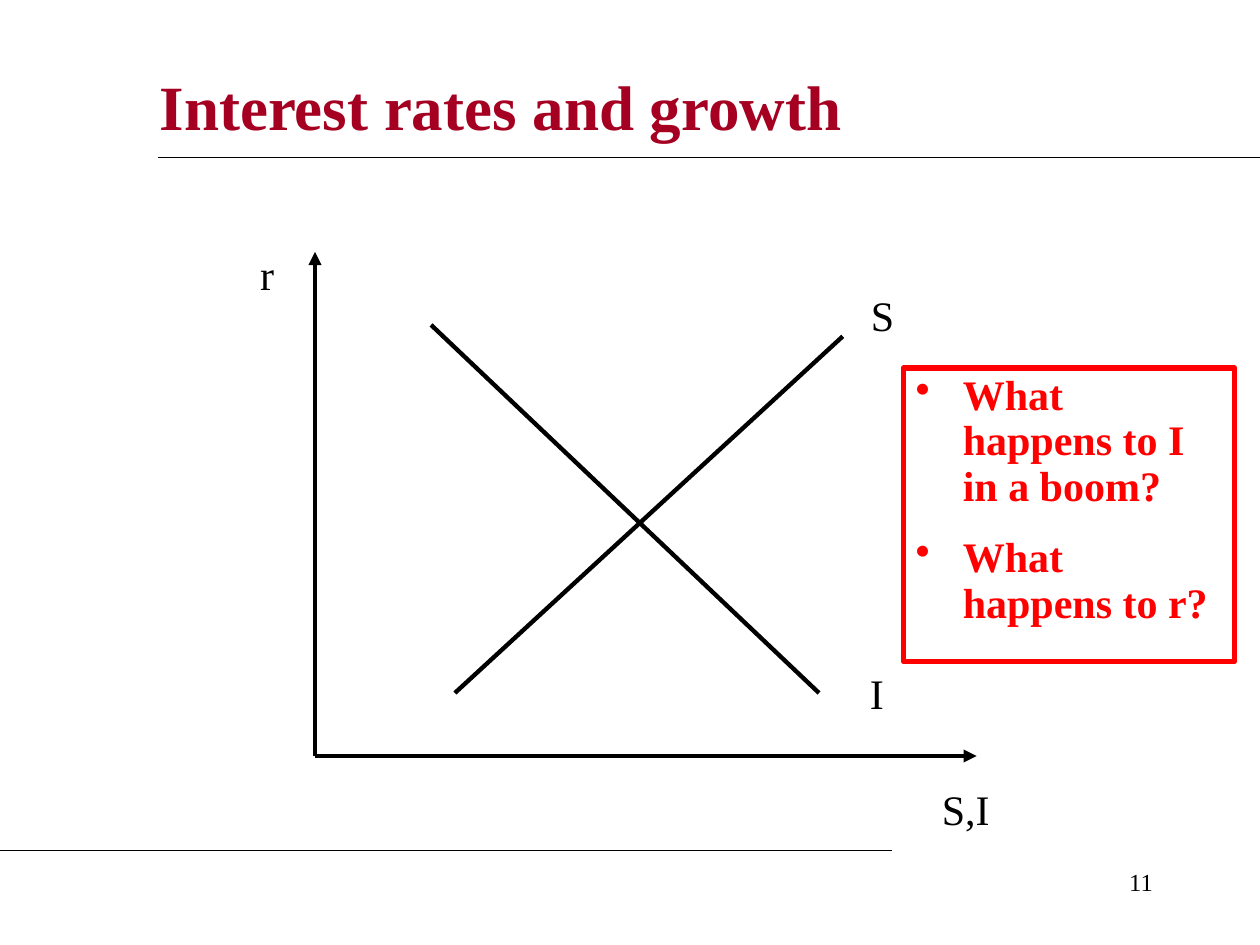
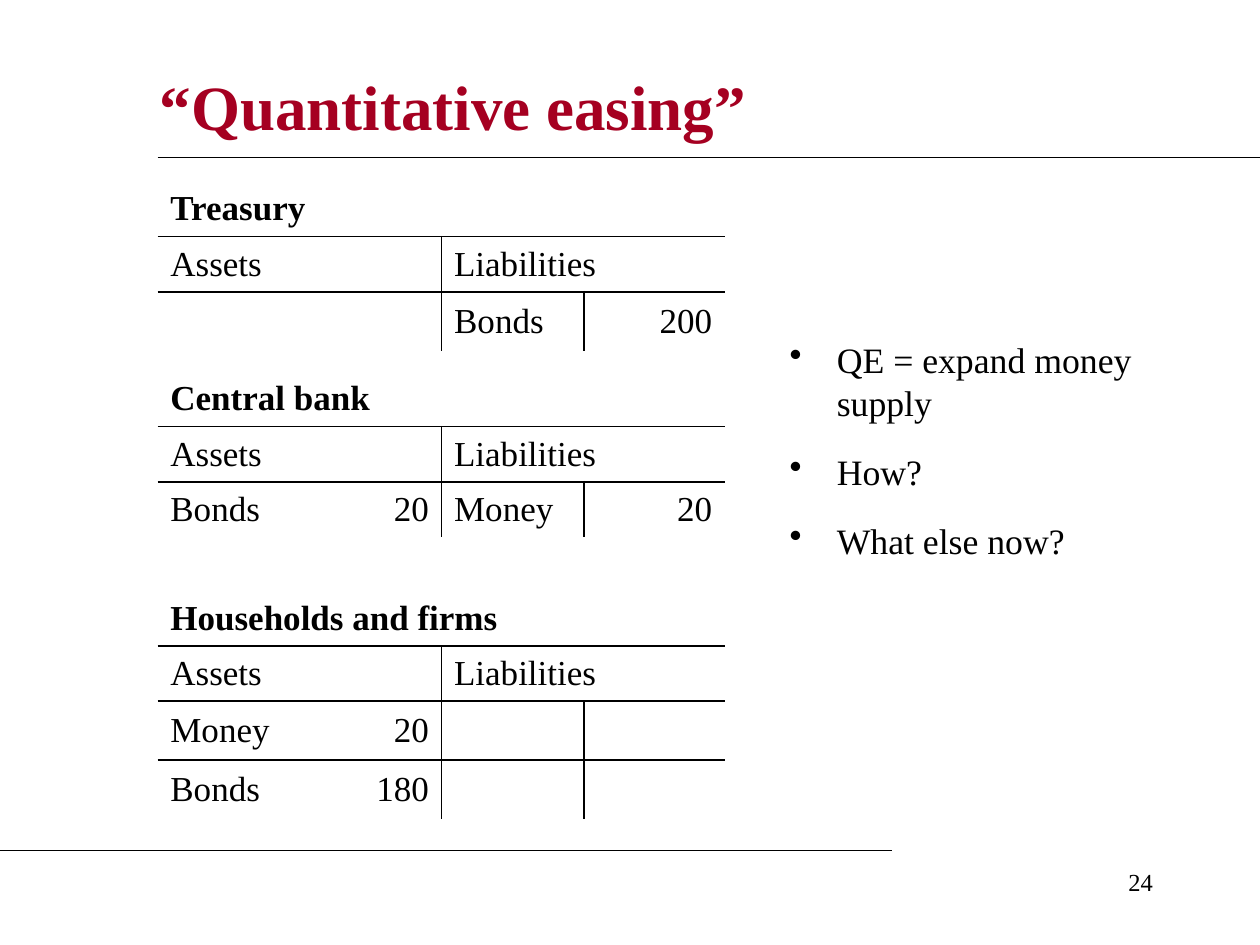
from lxml.etree import SubElement
from pptx import Presentation
from pptx.dml.color import RGBColor
from pptx.enum.shapes import MSO_CONNECTOR, MSO_SHAPE
from pptx.enum.text import MSO_ANCHOR, PP_ALIGN
from pptx.oxml.ns import qn
from pptx.util import Cm, Pt

COLOURS = {"ink": "000000", "title": "A50021", "question": "FF0000"}
FONT = "Times New Roman"
PLAIN_TABLE = "{2D5ABB26-0587-4C30-8999-92F81FD0307C}"
COLUMN_WIDTHS = (3.76, 1.96, 2.87, 2.84)
ROW_HEIGHT, TALL_ROW_HEIGHT = 1.11, 1.19


class LectureDeck:
    """Holds the lecture style and the current slide."""

    def __init__(self):
        self.deck = Presentation()
        self.deck.slide_width, self.deck.slide_height = Cm(25.4), Cm(19.05)
        self.slide = None

    def new_slide(self, title, number):
        self.slide = self.deck.slides.add_slide(self.deck.slide_layouts[6])
        self.text([number], 18.21, 17.35, 5.28, 1.27, size=14, align=PP_ALIGN.RIGHT)
        self.text([title], 2.97, 1.07, 21.59, 2.11, size=36, colour="title",
                  bold=True, anchor=MSO_ANCHOR.MIDDLE)
        self.line((3.18, 3.18), (25.4, 3.18))
        self.line((0, 17.15), (17.98, 17.15))

    def line(self, start, end, width=0.75, arrow=False):
        connector = self.slide.shapes.add_connector(
            MSO_CONNECTOR.STRAIGHT, *(Cm(value) for value in (*start, *end)))
        connector.line.color.rgb = RGBColor.from_string(COLOURS["ink"])
        connector.line.width = Pt(width)
        if arrow:
            SubElement(connector.line._get_or_add_ln(), qn("a:tailEnd"), type="triangle")
        SubElement(connector._element.spPr, qn("a:effectLst"))

    def style(self, paragraph, size, colour="ink", bold=False, align=PP_ALIGN.LEFT):
        paragraph.alignment = align
        font = paragraph.font
        font.name, font.size, font.bold = FONT, Pt(size), bold
        font.color.rgb = RGBColor.from_string(COLOURS[colour])

    def fill_frame(self, frame, lines, anchor=MSO_ANCHOR.TOP, bullets=False, spacing=None,
                   **style):
        frame.word_wrap = True
        frame.vertical_anchor = anchor
        for index, line in enumerate(lines):
            paragraph = frame.add_paragraph() if index else frame.paragraphs[0]
            paragraph.text = line
            if bullets:
                self.bullet(paragraph)
            if index:
                paragraph.space_before = Pt(15)
            if spacing:
                paragraph.line_spacing = spacing
            self.style(paragraph, **style)

    def bullet(self, paragraph):
        properties = paragraph._p.get_or_add_pPr()
        properties.set("marL", str(Cm(0.95)))
        properties.set("indent", str(-Cm(0.95)))
        SubElement(properties, qn("a:buChar"), char="•")

    def text(self, lines, left, top, width, height, **options):
        box = self.slide.shapes.add_textbox(Cm(left), Cm(top), Cm(width), Cm(height))
        self.fill_frame(box.text_frame, lines, **options)

    def framed_text(self, lines, left, top, width, height, colour, **options):
        frame = self.slide.shapes.add_shape(
            MSO_SHAPE.RECTANGLE, Cm(left), Cm(top), Cm(width), Cm(height))
        frame.shadow.inherit = False
        frame.fill.background()
        frame.line.color.rgb = RGBColor.from_string(COLOURS[colour])
        frame.line.width = Pt(3)
        self.fill_frame(frame.text_frame, lines, colour=colour, **options)

    def balance_sheet(self, holder, entries, top):
        rows = [(holder, "", "", ""), ("Assets", "", "Liabilities", ""), *entries]
        heights = [TALL_ROW_HEIGHT if row in entries and "" in row else ROW_HEIGHT
                   for row in rows]
        sheet = self.slide.shapes.add_table(
            len(rows), len(COLUMN_WIDTHS), Cm(3.18), Cm(top),
            Cm(sum(COLUMN_WIDTHS)), Cm(sum(heights))).table
        sheet.first_row = sheet.horz_banding = False
        sheet._tbl.tblPr.find(qn("a:tableStyleId")).text = PLAIN_TABLE
        for column, width in zip(sheet.columns, COLUMN_WIDTHS):
            column.width = Cm(width)
        for r, (row, height) in enumerate(zip(rows, heights)):
            sheet.rows[r].height = Cm(height)
            for c, entry in enumerate(row):
                cell = sheet.cell(r, c)
                cell.text = entry
                cell.vertical_anchor = MSO_ANCHOR.MIDDLE
                self.style(cell.text_frame.paragraphs[0], size=20, bold=r == 0,
                           align=PP_ALIGN.RIGHT if c % 2 else PP_ALIGN.LEFT)
                self.rule_cell(cell, r, c)
                cell.fill.background()
        sheet.cell(0, 0).merge(sheet.cell(0, 3))
        for c in (0, 2):
            sheet.cell(1, c).merge(sheet.cell(1, c + 1))

    def rule_cell(self, cell, r, c):
        edges = {"lnL": r > 0 and c == 2,
                 "lnR": r > 0 and c == 1 or (r, c) == (1, 0),
                 "lnT": r in (1, 2),
                 "lnB": r < 2}
        for edge, ruled in edges.items():
            if ruled:
                border = SubElement(cell._tc.get_or_add_tcPr(), qn(f"a:{edge}"), w=str(Pt(1.08)))
                fill = SubElement(border, qn("a:solidFill"))
                SubElement(fill, qn("a:srgbClr"), val=COLOURS["ink"])


def main():
    lecture = LectureDeck()

    lecture.new_slide("Interest rates and growth", "11")
    origin = (6.35, 15.24)
    for axis_end in ((19.69, 15.24), (6.35, 5.08)):
        lecture.line(origin, axis_end, width=2.5, arrow=True)
    saving = ((9.17, 13.97), (16.99, 6.78))
    investment = ((16.51, 13.97), (8.69, 6.55))
    for curve in (saving, investment):
        lecture.line(*curve, width=2.5)
    for label, left, top, width in (("S,I", 18.62, 15.67, 1.7), ("r", 4.65, 4.88, 1.47),
                                    ("S", 16.94, 5.72, 1.7), ("I", 16.51, 13.34, 2.34)):
        lecture.text([label], left, top, width, 1.27, size=24, align=PP_ALIGN.CENTER)
    lecture.framed_text(["What happens to I in a boom?", "What happens to r?"],
                        18.21, 7.42, 6.68, 5.92, "question", size=24, bold=True,
                        bullets=True, spacing=0.9)

    lecture.new_slide("“Quantitative easing”", "24")
    lecture.balance_sheet("Treasury", [("", "", "Bonds", "200")], 3.66)
    lecture.balance_sheet("Central bank", [("Bonds", "20", "Money", "20")], 7.49)
    lecture.balance_sheet("Households and firms",
                          [("Money", "20", "", ""), ("Bonds", "180", "", "")], 11.91)
    lecture.text(["QE = expand money supply", "How?", "What else now?"],
                 15.67, 6.68, 8.69, 4.65, size=20.4, bullets=True)

    lecture.deck.save("out.pptx")


if __name__ == "__main__":
    main()
